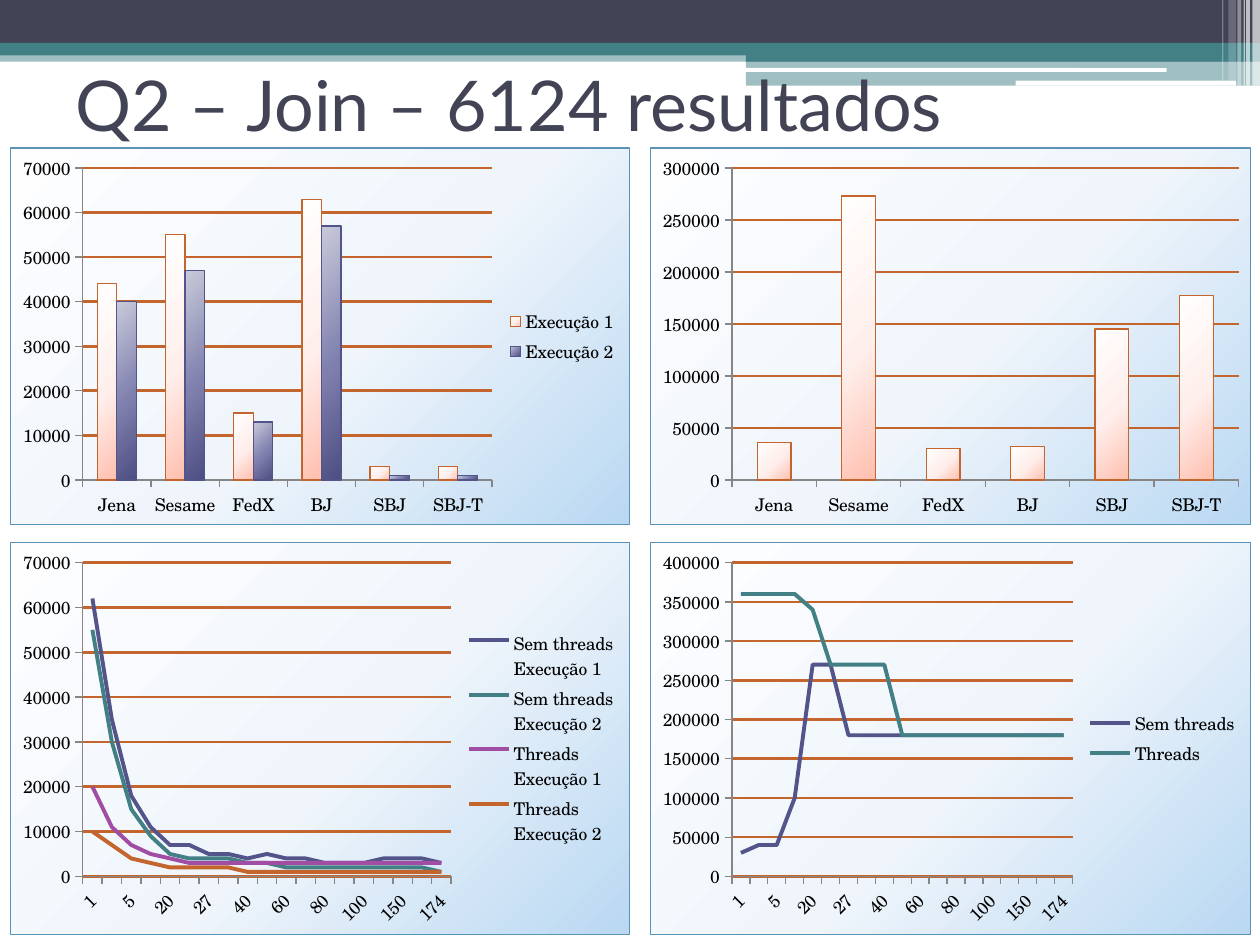
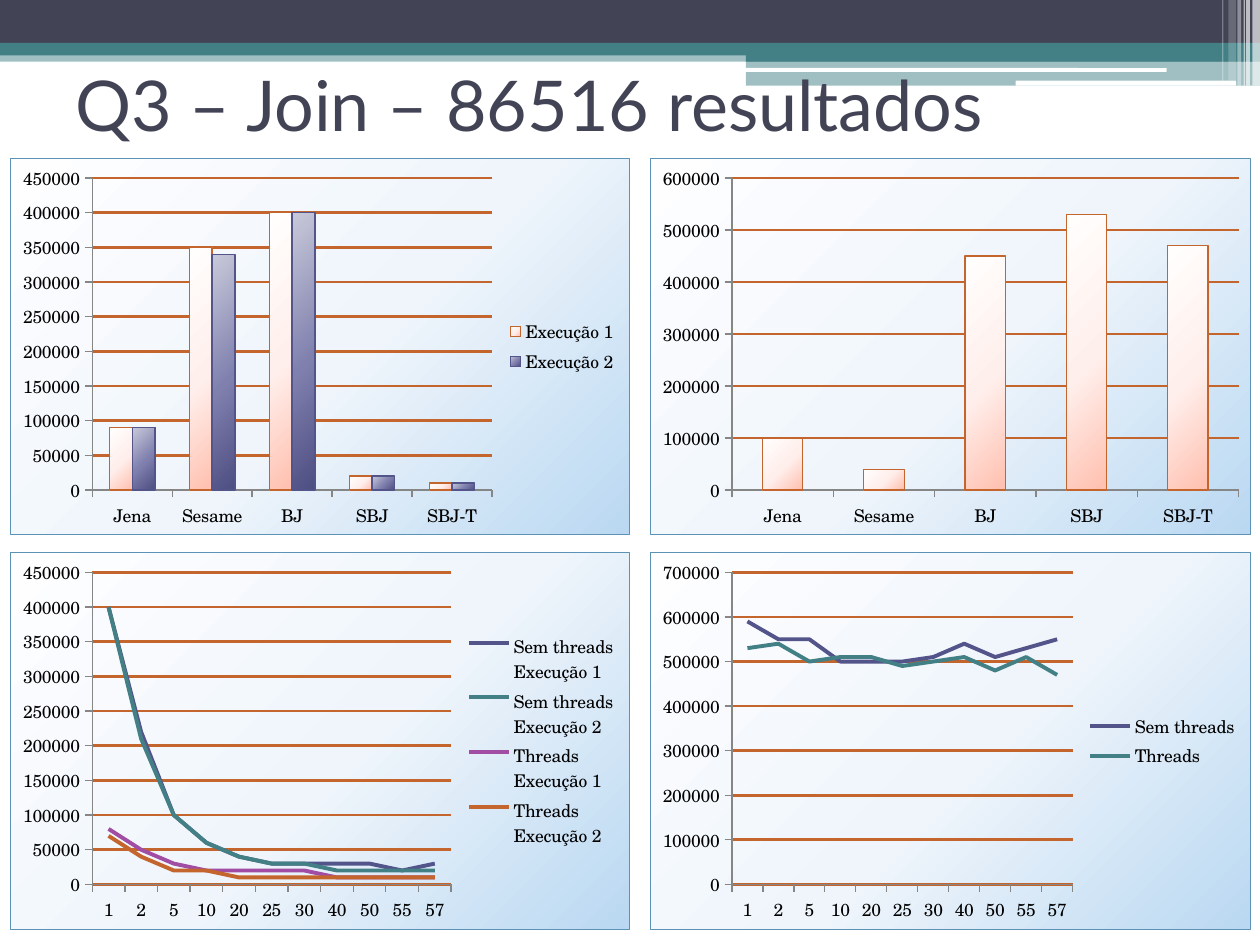
from dataclasses import dataclass

from pptx import Presentation, oxml
from pptx import util as u
from pptx.chart import data
from pptx.dml import color
from pptx.enum import chart as charts
from pptx.enum import shapes, text
from pptx.oxml import ns


@dataclass(frozen=True)
class Theme:
    dark: str = "424456"
    teal: str = "438086"
    white: str = "FFFFFF"
    black: str = "000000"
    axis: str = "868686"
    grid: str = "C4652D"
    border: str = "5C92B5"
    lines: tuple = ("53548A", "438086", "A04DA3", "C4652D")
    panel: tuple = ("FEFEFF", "EFF5FB", "BAD8F2")
    bars: tuple = (
        (("FFFEFD", "FFEFEC", "FFBFAE"), "C4652D"),
        (("C9C9DA", "7F80AE", "4D4E81"), "53548A"),
    )
    title_font: str = "Lato"
    chart_font: str = "TeX Gyre Schola"
    title_size: int = 40
    chart_size: int = 10
    thin: float = 0.75
    grid_width: float = 1.5
    line_width: float = 2.25


THEME = Theme()

# Header bands: left, top, width, height, colour, opacity in percent
BANDS = [
    (0, 0.4, 10, 0.09, THEME.teal, 50),
    (0, 0, 10, 0.34, THEME.dark, 100),
    (0, 0.34, 10, 0.1, THEME.teal, 100),
    (5.92, 0.39, 4.08, 0.1, THEME.teal, 100),
    (5.92, 0.48, 4.08, 0.2, THEME.teal, 50),
]
HIGHLIGHTS = [(5.91, 0.54, 3.35, 0.03), (8.06, 0.64, 1.75, 0.04)]
# Vertical stripes at the right: left, width, height, opacity
STRIPES = [
    (9.94, 0.06, 0.68, 65), (9.89, 0.03, 0.68, 65), (9.87, 0.01, 0.68, 60),
    (9.82, 0.03, 0.68, 40), (9.75, 0.06, 0.64, 20), (9.7, 0.01, 0.64, 30),
]
COLUMNS = [(0.08, 4.92), (5.16, 4.77)]  # left and width of the two chart columns

RUNS = ["Execução 1", "Execução 2"]
MODES = ["Sem threads", "Threads"]
MODE_RUNS = [f"{mode}\n{run}" for mode in MODES for run in RUNS]

# Each chart: series names, axis maximum, axis step, values; all in thousands
SLIDES = [
    {
        "title": "Q2 – Join – 6124 resultados",
        "rows": [(1.17, 3), (4.3, 3.12)],
        "engines": ["Jena", "Sesame", "FedX", "BJ", "SBJ", "SBJ-T"],
        "blocks": [1, 2, 5, 10, 20, 25, 27, 30, 40, 50, 60, 70, 80, 90, 100,
                   125, 150, 170, 174],
        "bars": [
            (RUNS, 70, 10, [[44, 55, 15, 63, 3, 3], [40, 47, 13, 57, 1, 1]]),
            (["Series 1"], 300, 50, [[36, 273, 30, 32, 145, 177]]),
        ],
        "lines": [
            (MODE_RUNS, 70, 10, [
                [62, 35, 18, 11, 7, 7, 5, 5, 4, 5, 4, 4, 3, 3, 3, 4, 4, 4, 3],
                [55, 30, 15, 9, 5, 4, 4, 4, 3, 3] + [2] * 8 + [1],
                [20, 11, 7, 5, 4] + [3] * 14,
                [10, 7, 4, 3, 2, 2, 2, 2] + [1] * 11,
            ]),
            (MODES, 400, 50, [
                [30, 40, 40, 100, 270, 270] + [180] * 13,
                [360] * 4 + [340] + [270] * 4 + [180] * 10,
            ]),
        ],
    },
    {
        "title": "Q3 – Join – 86516 resultados",
        "rows": [(1.25, 3), (4.38, 3)],
        "engines": ["Jena", "Sesame", "BJ", "SBJ", "SBJ-T"],
        "blocks": [1, 2, 5, 10, 20, 25, 30, 40, 50, 55, 57],
        "bars": [
            (RUNS, 450, 50, [[90, 350, 400, 20, 10], [90, 340, 400, 20, 10]]),
            (["Series 1"], 600, 100, [[100, 40, 450, 530, 470]]),
        ],
        "lines": [
            (MODE_RUNS, 450, 50, [
                [400, 220, 100, 60, 40, 30, 30, 30, 30, 20, 30],
                [400, 210, 100, 60, 40, 30, 30, 20, 20, 20, 20],
                [80, 50, 30, 20, 20, 20, 20, 10, 10, 10, 10],
                [70, 40, 20, 20, 10, 10, 10, 10, 10, 10, 10],
            ]),
            (MODES, 700, 100, [
                [590, 550, 550, 500, 500, 500, 510, 540, 510, 530, 550],
                [530, 540, 500, 510, 510, 490, 500, 510, 480, 510, 470],
            ]),
        ],
    },
]


def rgb(value):
    return color.RGBColor.from_string(value)


def set_line(line, value, width):
    line.color.rgb = rgb(value)
    line.width = u.Pt(width)


def set_font(font, name, size, value):
    font.name = name
    font.size = u.Pt(size)
    font.color.rgb = rgb(value)


def add_text(frame, words, *, font, size, value, anchor):
    frame.word_wrap = True
    frame.vertical_anchor = anchor
    run = frame.paragraphs[0].add_run()
    run.text = words
    set_font(run.font, font, size, value)


def radial_gradient(colours):
    stops = "".join(
        f'<a:gs pos="{position}000"><a:srgbClr val="{value}"/></a:gs>'
        for position, value in zip((0, 55, 100), colours))
    return (f'<a:gradFill {ns.nsdecls("a")} rotWithShape="1"><a:gsLst>{stops}</a:gsLst>'
            '<a:path path="circle"><a:fillToRect l="-40000" t="-90000" '
            'r="140000" b="190000"/></a:path></a:gradFill>')


class Deck:
    def __init__(self, theme):
        self.theme = theme
        self.presentation = Presentation()
        self.presentation.slide_width = u.Inches(10)
        self.presentation.slide_height = u.Inches(7.5)
        self.slide = None

    def new_slide(self, title):
        self.slide = self.presentation.slides.add_slide(
            self.presentation.slide_layouts[6])
        for *box, value, opacity in BANDS:
            self.band(box, value, opacity)
        for box in HIGHLIGHTS:
            self.band(box, self.theme.white, kind=shapes.MSO_SHAPE.ROUNDED_RECTANGLE)
        for left, width, height, opacity in STRIPES:
            self.band((left, 0, width, height), self.theme.white, opacity)
        self.title(title)

    def band(self, box, value, opacity=100, kind=shapes.MSO_SHAPE.RECTANGLE):
        shape = self.slide.shapes.add_shape(kind, *map(u.Inches, box))
        shape.shadow.inherit = False
        shape.fill.solid()
        shape.fill.fore_color.rgb = rgb(value)
        shape.line.fill.background()
        if opacity < 100:
            fill = next(shape.element.iter(ns.qn("a:srgbClr")))
            fill.append(oxml.parse_xml(
                f'<a:alpha {ns.nsdecls("a")} val="{opacity}000"/>'))

    def title(self, words):
        box = self.slide.shapes.add_textbox(*map(u.Inches, (0.5, 0.24, 9, 1.17)))
        add_text(box.text_frame, words, font=self.theme.title_font,
                 size=self.theme.title_size, value=self.theme.dark,
                 anchor=text.MSO_ANCHOR.MIDDLE)

    def chart(self, kind, box, categories, names, maximum, step, rows):
        chart_data = data.CategoryChartData()
        chart_data.categories = [str(category) for category in categories]
        for name, row in zip(names, rows):
            chart_data.add_series(name, [value * 1000 for value in row])
        chart = self.slide.shapes.add_chart(
            kind, *map(u.Inches, box), chart_data).chart
        chart.has_title = False
        set_font(chart.font, self.theme.chart_font, self.theme.chart_size,
                 self.theme.black)
        chart.has_legend = len(names) > 1
        if chart.has_legend:
            chart.legend.position = charts.XL_LEGEND_POSITION.RIGHT
            chart.legend.include_in_layout = False
        self.axes(chart, maximum, step)
        self.panel(chart)
        chart.plots[0].vary_by_categories = False
        return chart

    def axes(self, chart, maximum, step):
        for axis in (chart.category_axis, chart.value_axis):
            axis.major_tick_mark = charts.XL_TICK_MARK.OUTSIDE
            axis.minor_tick_mark = charts.XL_TICK_MARK.NONE
            set_line(axis.format.line, self.theme.axis, self.theme.thin)
        axis = chart.value_axis
        axis.minimum_scale = 0
        axis.maximum_scale = maximum * 1000
        axis.major_unit = step * 1000
        axis.has_major_gridlines = True
        set_line(axis.major_gridlines.format.line, self.theme.grid,
                 self.theme.grid_width)

    def panel(self, chart):
        """Gradient background and square-cornered border of the chart area."""
        space = chart.element
        if space.find(ns.qn("c:roundedCorners")) is None:
            space.find(ns.qn("c:date1904")).addnext(oxml.parse_xml(
                f'<c:roundedCorners {ns.nsdecls("c")} val="0"/>'))
        space.find(ns.qn("c:chart")).addnext(oxml.parse_xml(
            f'<c:spPr {ns.nsdecls("c", "a")}>{radial_gradient(self.theme.panel)}'
            f'<a:ln w="{u.Pt(self.theme.thin)}"><a:solidFill>'
            f'<a:srgbClr val="{self.theme.border}"/></a:solidFill></a:ln></c:spPr>'))

    def bar_chart(self, *content):
        chart = self.chart(charts.XL_CHART_TYPE.COLUMN_CLUSTERED, *content)
        plot = chart.plots[0]
        plot.gap_width = 150
        plot.overlap = 0
        elements = chart.element.iter(ns.qn("c:ser"))
        for series, element, (fill, edge) in zip(plot.series, elements, self.theme.bars):
            series.invert_if_negative = False
            set_line(series.format.line, edge, self.theme.thin)
            element.find(ns.qn("c:spPr")).insert(
                0, oxml.parse_xml(radial_gradient(fill)))

    def line_chart(self, *content):
        chart = self.chart(charts.XL_CHART_TYPE.LINE, *content)
        for series, value in zip(chart.plots[0].series, self.theme.lines):
            series.smooth = False
            set_line(series.format.line, value, self.theme.line_width)


def main():
    deck = Deck(THEME)
    for page in SLIDES:
        deck.new_slide(page["title"])
        # Bars in the upper row, lines in the lower row
        chart_rows = [(deck.bar_chart, page["engines"], page["bars"]),
                      (deck.line_chart, page["blocks"], page["lines"])]
        for (top, height), (draw, categories, contents) in zip(page["rows"], chart_rows):
            for (left, width), content in zip(COLUMNS, contents):
                draw((left, top, width, height), categories, *content)
    deck.presentation.save("out.pptx")


if __name__ == "__main__":
    main()
